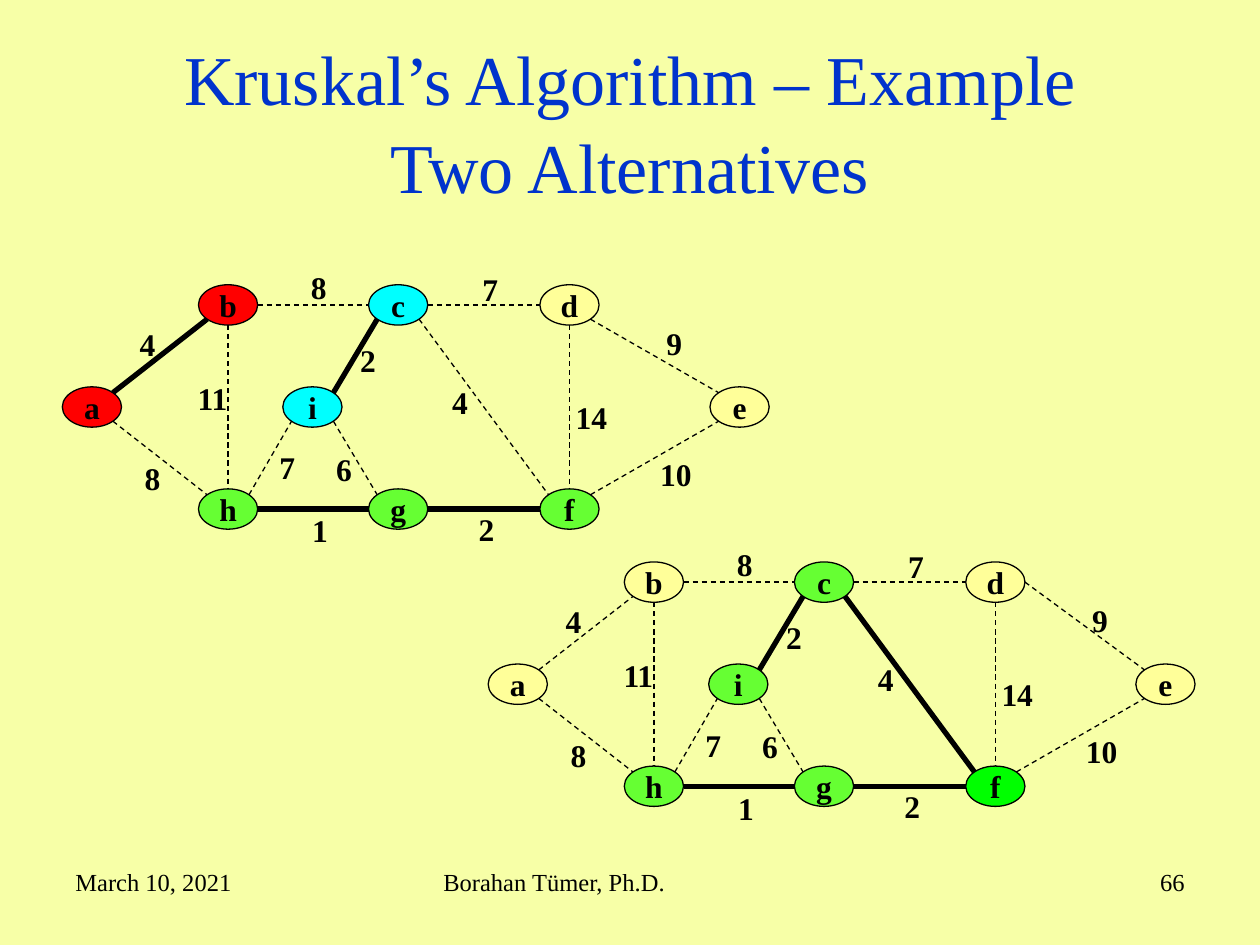
import math
from dataclasses import dataclass, field

import pptx
import pptx.dml.color
import pptx.enum.dml
import pptx.enum.shapes
import pptx.enum.text
import pptx.oxml
import pptx.util
from pptx.util import Inches

FONT = "Times New Roman"
COLORS = {
    "background": "F7FFA7",
    "title": "0033CC",
    "ink": "000000",
    "yellow": "FFFF99",
    "red": "FF0000",
    "cyan": "00FFFF",
    "green": "66FF33",
    "bright green": "00FF00",
}
ALIGN = pptx.enum.text.PP_ALIGN
NODE_WIDTH, NODE_HEIGHT = 0.47, 0.32
TOP, MIDDLE, BOTTOM = 2.42, 3.23, 4.04

# Centres of the nodes in the first graph
NODES = {
    "a": (0.73, MIDDLE),
    "b": (1.81, TOP),
    "c": (3.16, TOP),
    "d": (4.52, TOP),
    "e": (5.87, MIDDLE),
    "i": (2.48, MIDDLE),
    "h": (1.81, BOTTOM),
    "g": (3.16, BOTTOM),
    "f": (4.52, BOTTOM),
}


@dataclass
class Edge:
    ends: str
    weight: int
    label_left: float
    label_top: float


@dataclass
class Graph:
    left: float
    top: float
    fills: dict[str, str]
    tree: set[str]
    level_starts: set[str] = field(default_factory=set)


EDGES = [
    Edge("ab", 4, 1.01, 2.53),
    Edge("bc", 8, 2.37, 2.08),
    Edge("cd", 7, 3.73, 2.09),
    Edge("de", 9, 5.19, 2.52),
    Edge("df", 14, 4.47, 3.11),
    Edge("fe", 10, 5.14, 3.56),
    Edge("cf", 4, 3.49, 2.99),
    Edge("gf", 2, 3.7, 4.0),
    Edge("ig", 6, 2.57, 3.52),
    Edge("ic", 2, 2.76, 2.66),
    Edge("bh", 11, 1.47, 2.96),
    Edge("ah", 8, 1.05, 3.59),
    Edge("hg", 1, 2.38, 4.01),
    Edge("hi", 7, 2.12, 3.51),
]

GRAPHS = [
    Graph(0, 0,
          {"a": "red", "b": "red", "c": "cyan", "i": "cyan",
           "h": "green", "g": "green", "f": "green"},
          {"ab", "ic", "hg", "gf"}),
    Graph(3.38, 2.2,
          {"c": "green", "i": "green", "h": "green", "g": "green", "f": "bright green"},
          {"ic", "cf", "hg", "gf"},
          level_starts={"de"}),
]


def rgb(name: str) -> pptx.dml.color.RGBColor:
    return pptx.dml.color.RGBColor.from_string(COLORS[name])


def add_run(paragraph, text: str, size: float, color: str = "ink", bold: bool = False) -> None:
    run = paragraph.add_run()
    run.text = text
    run.font.name = FONT
    run.font.size = pptx.util.Pt(size)
    run.font.bold = bold
    run.font.color.rgb = rgb(color)


def add_text(slide, text: str, left: float, top: float, width: float, height: float,
             size: float, align=ALIGN.LEFT, bold: bool = False, wrap: bool = True) -> None:
    box = slide.shapes.add_textbox(Inches(left), Inches(top), Inches(width), Inches(height))
    box.text_frame.word_wrap = wrap
    paragraph = box.text_frame.paragraphs[0]
    paragraph.alignment = align
    add_run(paragraph, text, size, bold=bold)


def add_title(slide) -> None:
    title = slide.shapes.title
    title.left, title.top = Inches(0.5), Inches(0.32)
    title.width, title.height = Inches(9), Inches(1.25)
    frame = title.text_frame
    frame.auto_size = pptx.enum.text.MSO_AUTO_SIZE.NONE
    frame.vertical_anchor = pptx.enum.text.MSO_ANCHOR.MIDDLE
    paragraph = frame.paragraphs[0]
    paragraph.alignment = ALIGN.CENTER
    paragraph.line_spacing = 1.05
    add_run(paragraph, "Kruskal’s Algorithm – Example", 40, "title")
    paragraph.add_line_break()
    add_run(paragraph, "Two Alternatives", 40, "title")


def add_node(slide, name: str, x: float, y: float, fill: str) -> None:
    node = slide.shapes.add_shape(
        pptx.enum.shapes.MSO_SHAPE.OVAL,
        Inches(x - NODE_WIDTH / 2), Inches(y - NODE_HEIGHT / 2),
        Inches(NODE_WIDTH), Inches(NODE_HEIGHT))
    node.shadow.inherit = False
    node.fill.solid()
    node.fill.fore_color.rgb = rgb(fill)
    node.line.color.rgb = rgb("ink")
    node.line.width = pptx.util.Pt(0.75)
    node.text_frame.word_wrap = False
    node.text_frame.vertical_anchor = pptx.enum.text.MSO_ANCHOR.MIDDLE
    paragraph = node.text_frame.paragraphs[0]
    paragraph.alignment = ALIGN.CENTER
    add_run(paragraph, name, 18, bold=True)


def rim_point(name: str, other: str, level: bool = False) -> tuple[float, float]:
    """Return the one of eight points on the node's rim that faces the other node."""
    (x, y), (other_x, other_y) = NODES[name], NODES[other]
    across = (other_x > x) - (other_x < x)
    down = 0 if level else (other_y > y) - (other_y < y)
    length = math.hypot(across, down)
    return x + across / length * NODE_WIDTH / 2, y + down / length * NODE_HEIGHT / 2


def add_edge(slide, edge: Edge, graph: Graph) -> None:
    start, end = edge.ends
    start_x, start_y = rim_point(start, end, edge.ends in graph.level_starts)
    end_x, end_y = rim_point(end, start)
    line = slide.shapes.add_connector(
        pptx.enum.shapes.MSO_CONNECTOR.STRAIGHT,
        Inches(graph.left + start_x), Inches(graph.top + start_y),
        Inches(graph.left + end_x), Inches(graph.top + end_y))
    line.line.color.rgb = rgb("ink")
    if edge.ends in graph.tree:
        line.line.width = pptx.util.Pt(3)
    else:
        line.line.width = pptx.util.Pt(0.75)
        line.line.dash_style = pptx.enum.dml.MSO_LINE.DASH
    properties = line.element.spPr
    properties.append(properties.makeelement(pptx.oxml.ns.qn("a:effectLst"), {}))

    label_width = 0.33 if edge.weight < 10 else 0.45
    add_text(slide, str(edge.weight), graph.left + edge.label_left,
             graph.top + edge.label_top, label_width, 0.4, 18, bold=True, wrap=False)


def add_graph(slide, graph: Graph) -> None:
    for name, (x, y) in NODES.items():
        add_node(slide, name, graph.left + x, graph.top + y, graph.fills.get(name, "yellow"))
    for edge in EDGES:
        add_edge(slide, edge, graph)


def main() -> None:
    presentation = pptx.Presentation()
    presentation.slide_width, presentation.slide_height = Inches(10), Inches(7.5)
    slide = presentation.slides.add_slide(presentation.slide_layouts[5])
    slide.background.fill.solid()
    slide.background.fill.fore_color.rgb = rgb("background")
    add_title(slide)
    add_text(slide, "March 10, 2021", 0.5, 6.83, 2.33, 0.52, 14)
    add_text(slide, "Borahan Tümer, Ph.D.", 3.42, 6.83, 3.17, 0.52, 14)
    add_text(slide, "66", 7.17, 6.83, 2.33, 0.52, 14, ALIGN.RIGHT)
    for graph in GRAPHS:
        add_graph(slide, graph)
    presentation.save("out.pptx")


if __name__ == "__main__":
    main()
